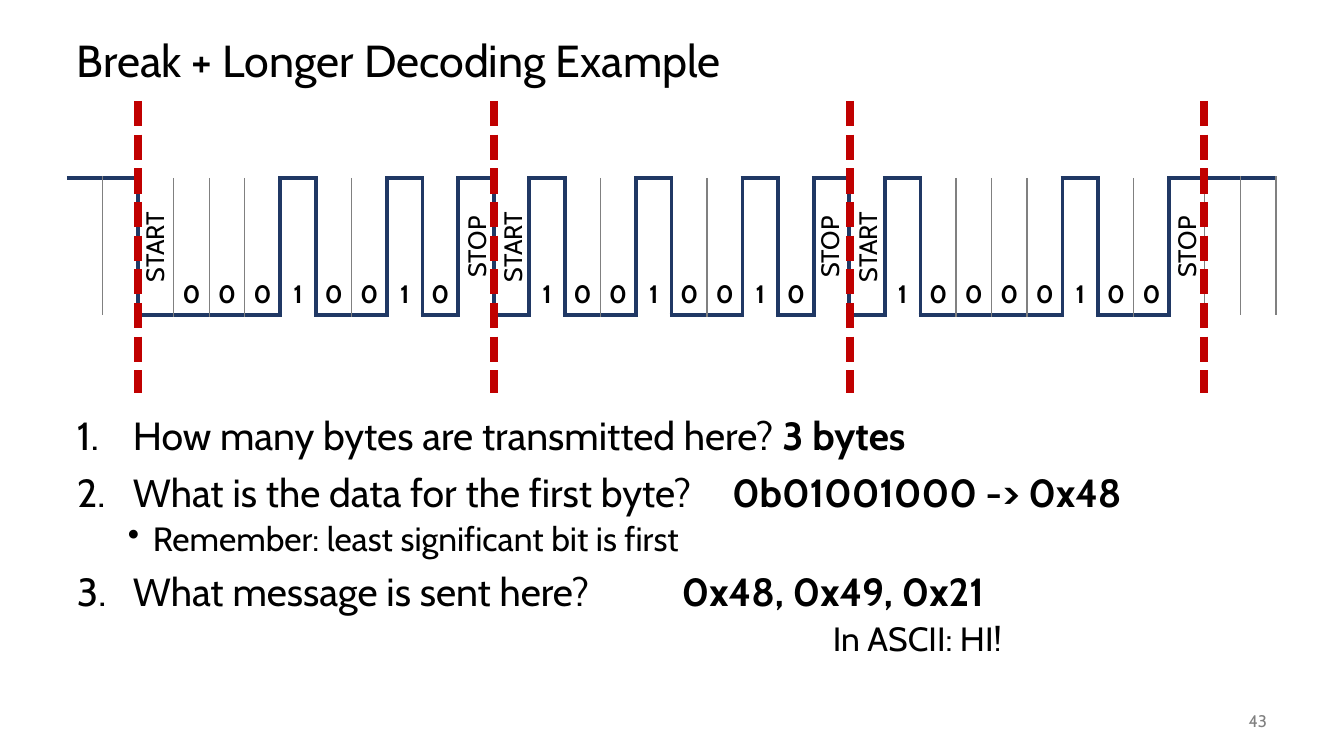
from lxml import etree
from pptx import Presentation
from pptx.dml.color import RGBColor
from pptx.enum.dml import MSO_LINE
from pptx.enum.shapes import MSO_CONNECTOR
from pptx.enum.text import MSO_ANCHOR, PP_ALIGN
from pptx.oxml.ns import qn
from pptx.util import Emu, Pt

STRAIGHT = MSO_CONNECTOR.STRAIGHT
DASH = MSO_LINE.SQUARE_DOT
TOP, MIDDLE, BOTTOM = MSO_ANCHOR.TOP, MSO_ANCHOR.MIDDLE, MSO_ANCHOR.BOTTOM
LEFT, CENTER, RIGHT = PP_ALIGN.LEFT, PP_ALIGN.CENTER, PP_ALIGN.RIGHT

EMU_PER_PX = 914400 / 100.8

THEME = {
    "font": "Cabin",
    "text": "000000",
    "muted": "808080",
    "signal": "203864",
    "marker": "C00000",
    "title": 32,
    "question": 28,
    "detail": 24,
    "label": 18,
    "number": 12,
    "signal_width": 3,
    "grid_width": 1,
    "marker_width": 6,
}

MESSAGE = "HI!"
LABELS = {"START": (105, 463, 818), "STOP": (427, 780, 1137)}
MARKERS = (138, 494, 850, 1204)

NUMBERED = {"margin": 56, "indent": -56, "before": 10, "size": "question", "bullet": "buAutoNum",
            "bullet_values": {"type": "arabicPeriod"}}
BULLETED = {"margin": 76, "indent": -25, "before": 5, "size": "detail", "bullet": "buChar",
            "bullet_values": {"char": "•"}, "level": 1}
ANSWER = {"margin": 756, "indent": 0, "before": 5, "size": "detail", "bullet": "buNone",
          "bullet_values": {}, "level": 1}
QUESTIONS = (
    (NUMBERED, "How many bytes are transmitted here?\t", "3 bytes"),
    (NUMBERED, "What is the data for the first byte?\t", "0b01001000 -> 0x48"),
    (BULLETED, "Remember: least significant bit is first", ""),
    (NUMBERED, "What message is sent here?\t\t", "0x48, 0x49, 0x21"),
    (ANSWER, "In ASCII: HI!", ""),
)


def px(length):
    return Emu(round(length * EMU_PER_PX))


def apply_format(target, values):
    for name, value in values.items():
        setattr(target, name, value)


def add_run(paragraph, text, size, color="text", bold=False):
    run = paragraph.add_run()
    run.text = text
    apply_format(run.font, {"name": THEME["font"], "size": Pt(THEME[size]), "bold": bold})
    run.font.color.rgb = RGBColor.from_string(THEME[color])


def add_text_box(slide, box, anchor=TOP, wrap=True):
    shape = slide.shapes.add_textbox(*map(px, box))
    apply_format(shape.text_frame, {"word_wrap": wrap, "vertical_anchor": anchor})
    return shape


def add_label(slide, text, box, size, color="text", alignment=LEFT, anchor=MIDDLE,
              rotation=0, wrap=True):
    shape = add_text_box(slide, box, anchor, wrap)
    shape.rotation = rotation
    paragraph = shape.text_frame.paragraphs[0]
    apply_format(paragraph, {"alignment": alignment, "line_spacing": 0.9 if size == "title" else 1.0})
    add_run(paragraph, text, size, color)


def serial_frame():
    cells = [(1, "")] * 2
    for character in MESSAGE:
        bits = f"{ord(character):08b}"[::-1]
        cells += [(0, ""), *((int(bit), bit) for bit in bits), (1, "")]
    return cells + [(1, "")] * 2


def edge_style(level, neighbour):
    return "grid" if level == neighbour else "signal"


def add_border(cell, side, style):
    properties = cell._tc.get_or_add_tcPr()
    line = etree.SubElement(properties, qn(f"a:{side}"))
    if style is None:
        line.set("w", "0")
        etree.SubElement(line, qn("a:noFill"))
        return
    line.set("w", str(Pt(THEME[f"{style}_width"])))
    fill = etree.SubElement(line, qn("a:solidFill"))
    color = THEME["muted" if style == "grid" else "signal"]
    etree.SubElement(fill, qn("a:srgbClr"), val=color)


def add_waveform(slide, box):
    frame = serial_frame()
    levels = [level for level, _ in frame]
    table = slide.shapes.add_table(1, len(frame), *map(px, box)).table
    apply_format(table, {"first_row": False, "horz_banding": False})
    for index, (level, bit) in enumerate(frame):
        table.columns[index].width = px(box[2] / len(frame))
        cell = table.cell(0, index)
        last = index == len(frame) - 1
        borders = {
            "lnL": edge_style(level, levels[index - 1]) if index else None,
            "lnR": "grid" if last else edge_style(level, levels[index + 1]),
            "lnT": "signal" if level else None,
            "lnB": None if level else "signal",
        }
        for side, style in borders.items():
            add_border(cell, side, style)
        cell.fill.background()
        apply_format(cell, {"margin_left": 0, "margin_right": 0, "vertical_anchor": BOTTOM})
        if bit:
            paragraph = cell.text_frame.paragraphs[0]
            paragraph.alignment = CENTER
            add_run(paragraph, bit, "label", bold=True)


def add_marker(slide, x, top, bottom):
    connector = slide.shapes.add_connector(STRAIGHT, px(x), px(top), px(x), px(bottom))
    apply_format(connector.line, {"width": Pt(THEME["marker_width"]), "dash_style": DASH})
    connector.line.color.rgb = RGBColor.from_string(THEME["marker"])
    etree.SubElement(connector._element.spPr, qn("a:effectLst"))


def add_questions(slide, box):
    text_frame = add_text_box(slide, box).text_frame
    for index, (style, question, answer) in enumerate(QUESTIONS):
        paragraph = text_frame.add_paragraph() if index else text_frame.paragraphs[0]
        apply_format(paragraph, {"level": style.get("level", 0), "line_spacing": 0.9,
                                 "space_before": Pt(style["before"] if index else 0)})
        properties = paragraph._p.get_or_add_pPr()
        properties.set("marL", str(px(style["margin"])))
        properties.set("indent", str(px(style["indent"])))
        etree.SubElement(properties, qn(f"a:{style['bullet']}"), **style["bullet_values"])
        add_run(paragraph, question, style["size"])
        if answer:
            add_run(paragraph, answer, style["size"], bold=True)


def main():
    presentation = Presentation()
    apply_format(presentation, {"slide_width": px(1344), "slide_height": px(756)})
    slide = presentation.slides.add_slide(presentation.slide_layouts[6])
    add_label(slide, "Break + Longer Decoding Example", (67, 25, 1210, 76), "title")
    add_label(slide, "43", (1176, 701, 101, 40), "number", "muted", RIGHT)
    add_waveform(slide, (67, 178, 1210, 137))
    for x in MARKERS:
        add_marker(slide, x, 101, 393)
    for text, lefts in LABELS.items():
        for left in lefts:
            add_label(slide, text, (left, 227, 98, 40), "label", alignment=CENTER,
                      anchor=TOP, rotation=270, wrap=False)
    add_questions(slide, (67, 412, 1210, 268))
    presentation.save("out.pptx")


if __name__ == "__main__":
    main()
